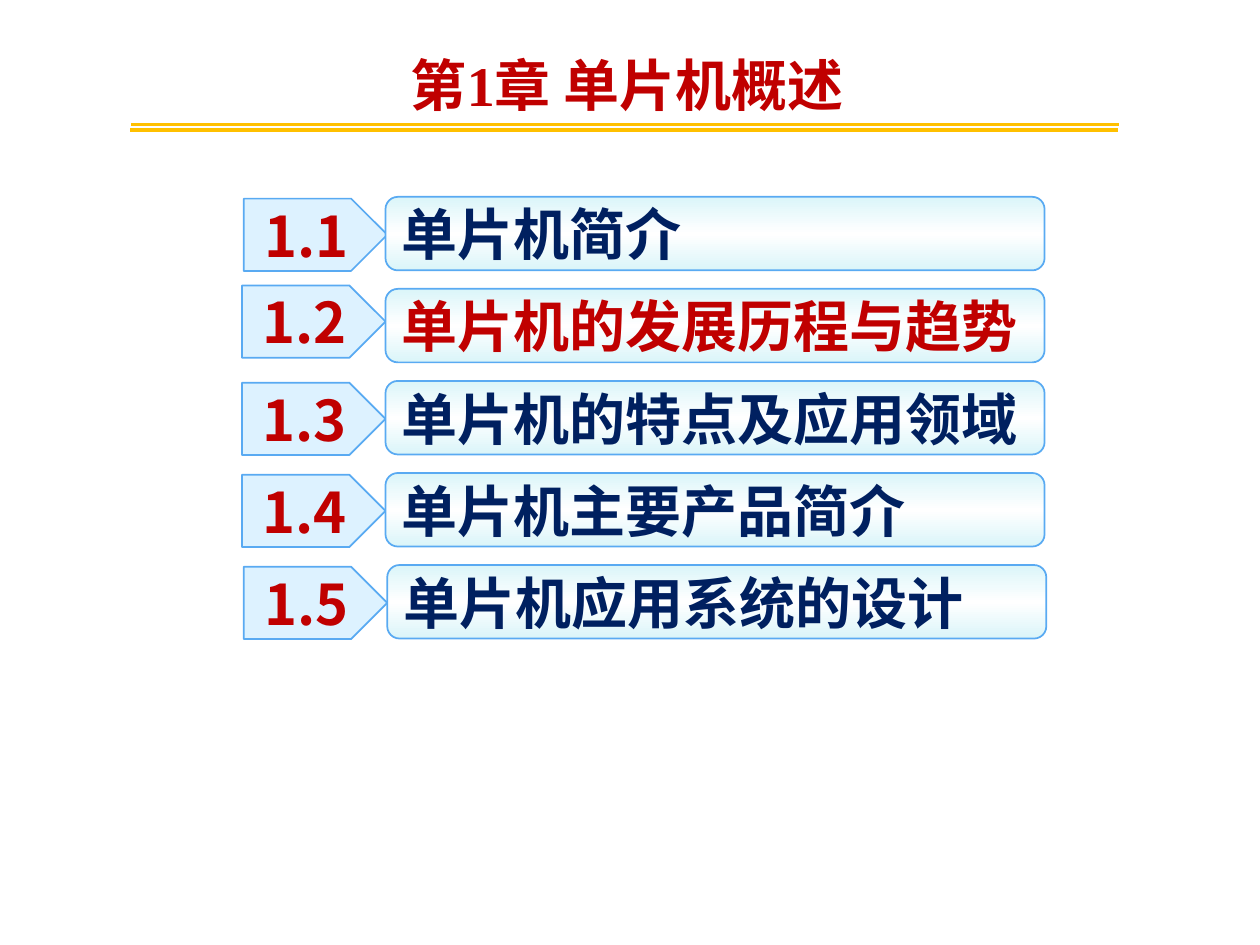
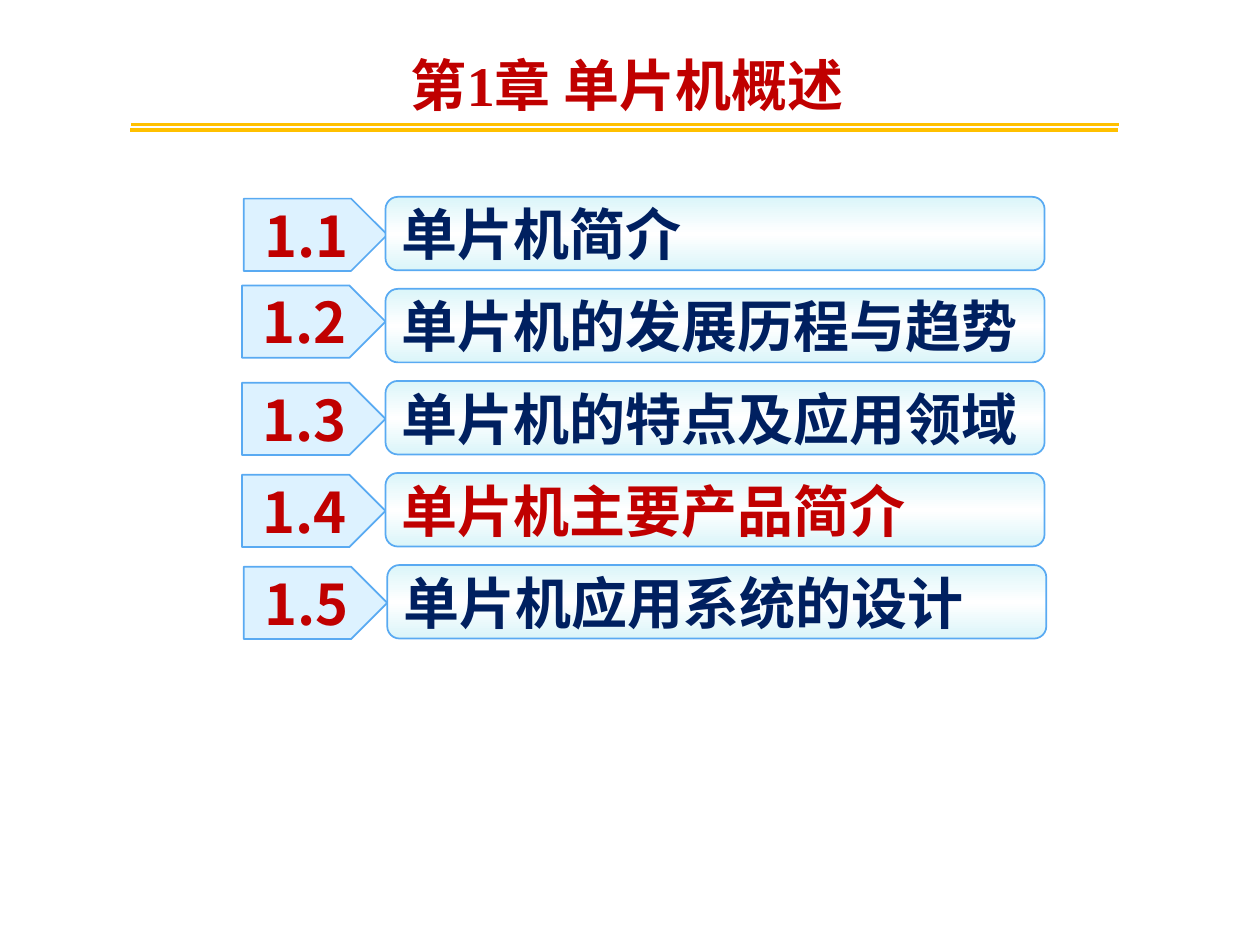
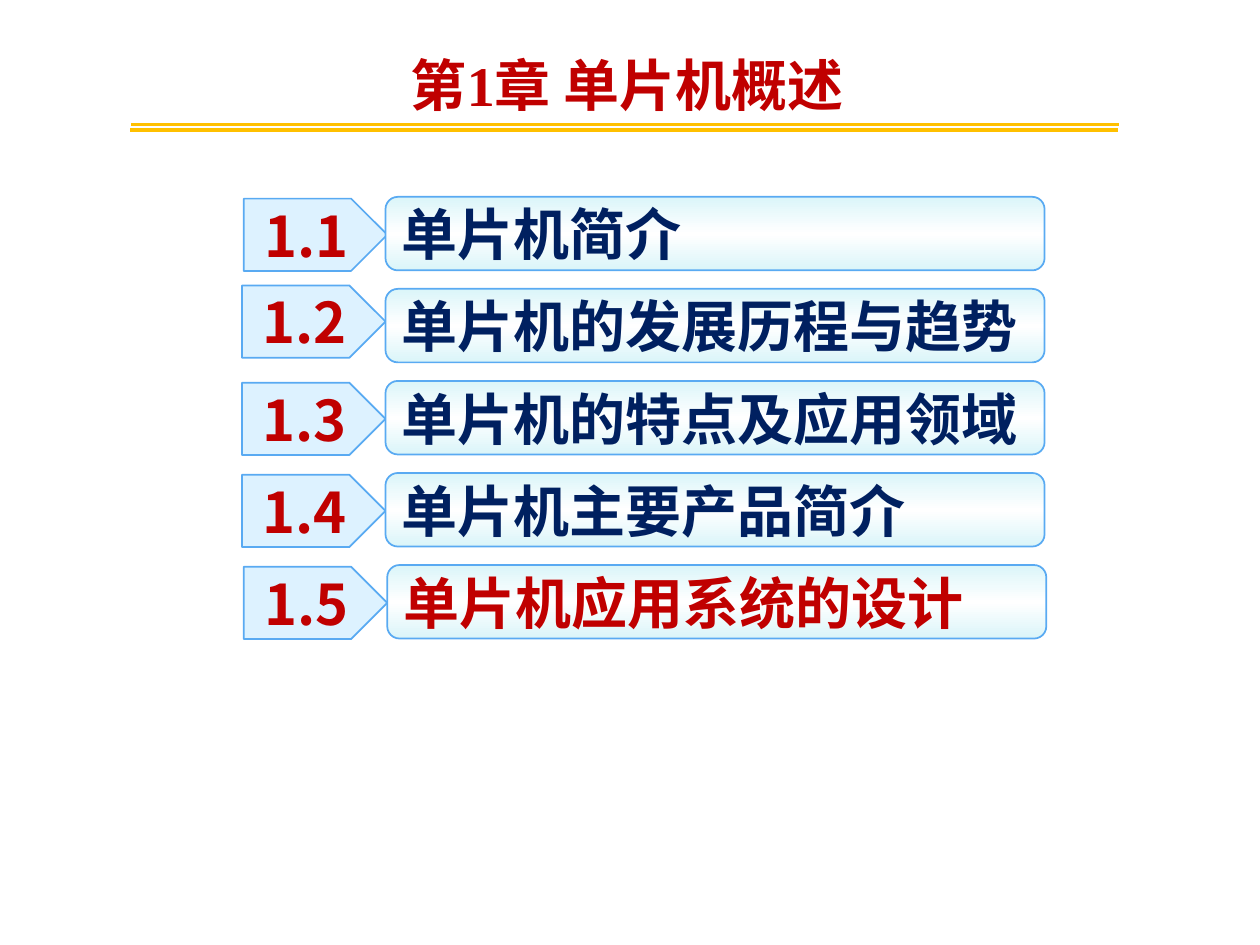
from copy import deepcopy

from pptx import Presentation
from pptx.dml.color import RGBColor
from pptx.enum import shapes, text
from pptx.oxml import ns, xmlchemy
from pptx.util import Pt

# Shared colours and fonts
RED = RGBColor(0xC0, 0x00, 0x00)
NAVY = RGBColor(0x00, 0x20, 0x60)
GOLD = RGBColor(0xFF, 0xC0, 0x00)
SKY = RGBColor(0x59, 0xAA, 0xF2)
PALE_BLUE = RGBColor(0xDD, 0xF2, 0xFF)
PALE_CYAN = RGBColor(0xDB, 0xF5, 0xF9)
WHITE = RGBColor(0xFF, 0xFF, 0xFF)
HAN_FONT = "Noto Sans CJK SC"
TITLE_FONT = "Times New Roman"

CHAPTER = "第1章 单片机概述"
# Section name, shift of the whole row, shift of the tag (x, y)
SECTIONS = [
    ("单片机简介", 0, (1, 1)),
    ("单片机的发展历程与趋势", 0, (0, -2)),
    ("单片机的特点及应用领域", 0, (0, 1)),
    ("单片机主要产品简介", 0, (0, 1)),
    ("单片机应用系统的设计", 1, (0, 1)),
]
CURRENT_SECTIONS = (2, 4, 5)

# Regions: left, top, width, height
TITLE_BOX = (227.5, 15.8, 289.5, 52.6)
RULE_BOX = (74.5, 71.3, 564.5, 2.9)
LIST_BOX = (138.3, 112.5, 458.6, 252.4)
ROW_STEP = 52.6
TAG_SIZE = (82, 41.3)
BAR_INDENT = 82
BAR_HEIGHT = 42


def write(shape, words, color, font=TITLE_FONT, align=text.PP_ALIGN.LEFT,
          anchor=text.MSO_ANCHOR.MIDDLE, wrap=True):
    """Put one bold line of text into a shape."""
    frame = shape.text_frame
    frame.word_wrap, frame.vertical_anchor = wrap, anchor
    para = frame.paragraphs[0]
    para.alignment = align
    span = para.add_run()
    span.text = words
    for name, value in {"name": font, "size": Pt(32), "bold": True}.items():
        setattr(span.font, name, value)
    span.font.color.rgb = color
    east_asian = xmlchemy.OxmlElement("a:ea")
    east_asian.set("typeface", HAN_FONT)
    span.font._element.find(ns.qn("a:latin")).addnext(east_asian)
    return para


def add_header(page, title_box, rule_box):
    """Chapter title above a double gold rule."""
    left, top, width, height = rule_box
    rules = page.shapes.add_group_shape()
    for x, y, weight in ((left, top + height, 2.25), (left + 0.5, top, 1.5)):
        rule = rules.shapes.add_connector(
            shapes.MSO_CONNECTOR.STRAIGHT, Pt(x), Pt(y), Pt(x + width), Pt(y))
        rule.line.color.rgb = GOLD
        rule.line.width = Pt(weight)
        rule._element.spPr.append(xmlchemy.OxmlElement("a:effectLst"))

    title = page.shapes.title
    for name, value in zip(("left", "top", "width", "height"), title_box):
        setattr(title, name, Pt(value))
    title.text_frame.auto_size = text.MSO_AUTO_SIZE.NONE
    para = write(title, CHAPTER, RED, anchor=text.MSO_ANCHOR.TOP)
    para.line_spacing = 1.25


def add_outlined(page, kind, box):
    shape = page.shapes.add_shape(kind, *map(Pt, box))
    shape.shadow.inherit = False
    shape.line.color.rgb = SKY
    shape.line.width = Pt(1)
    return shape


def fill_gradient(shape):
    """Vertical sheen: pale edges, white middle."""
    shape.fill.gradient()
    shape.fill.gradient_angle = 90
    stop_list = shape._element.spPr.find(".//" + ns.qn("a:gsLst"))
    stop_list.append(deepcopy(stop_list[-1]))
    for stop, position, color in zip(shape.fill.gradient_stops, (0, 0.5, 1),
                                     (PALE_CYAN, WHITE, PALE_CYAN)):
        stop.position = position
        stop.color.rgb = color


def add_section_list(page, box, current):
    """Numbered tags and section bars, the current one in red."""
    left, top, width, _ = box
    for number, (name, shift, (tag_x, tag_y)) in enumerate(SECTIONS, 1):
        row_left = left + shift
        row_top = top + (number - 1) * ROW_STEP

        tag = add_outlined(page, shapes.MSO_SHAPE.PENTAGON,
                           (row_left + tag_x, row_top + tag_y, *TAG_SIZE))
        tag.fill.solid()
        tag.fill.fore_color.rgb = PALE_BLUE
        write(tag, f"1.{number}", RED, HAN_FONT, text.PP_ALIGN.CENTER)

        bar = add_outlined(
            page, shapes.MSO_SHAPE.FLOWCHART_ALTERNATE_PROCESS,
            (row_left + BAR_INDENT, row_top, width - BAR_INDENT, BAR_HEIGHT))
        fill_gradient(bar)
        write(bar, name, RED if number == current else NAVY, HAN_FONT,
              wrap=False)


def main():
    deck = Presentation()
    deck.slide_width, deck.slide_height = Pt(720), Pt(540)
    title_only = deck.slide_layouts[5]
    for current in CURRENT_SECTIONS:
        page = deck.slides.add_slide(title_only)
        add_header(page, TITLE_BOX, RULE_BOX)
        add_section_list(page, LIST_BOX, current)
    deck.save("out.pptx")


if __name__ == "__main__":
    main()
